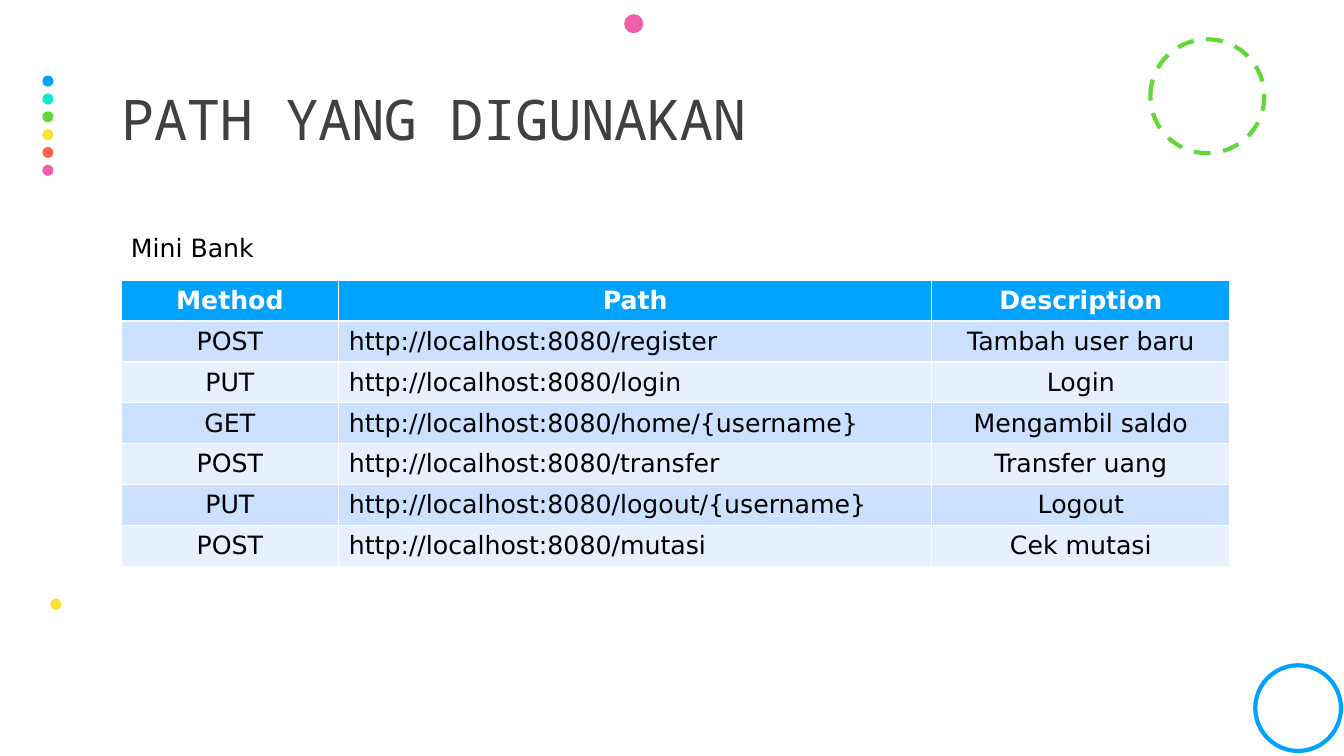
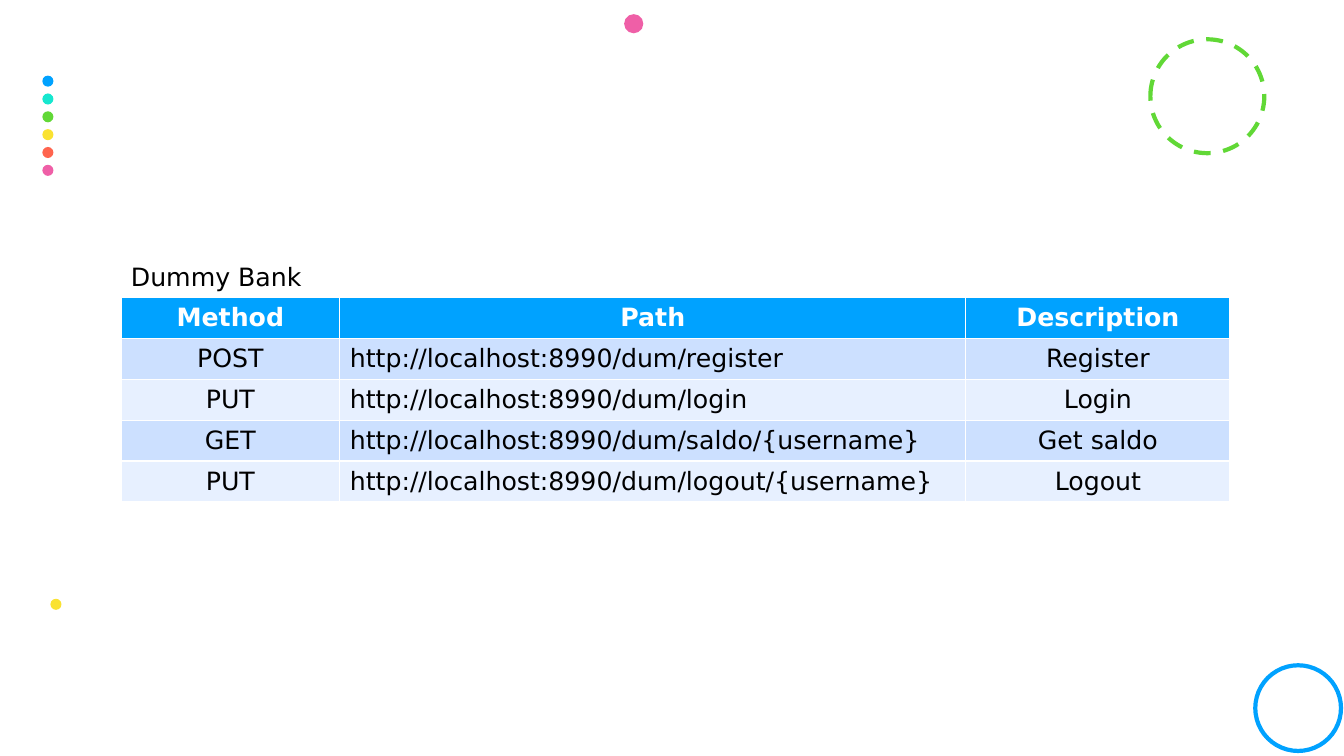
"""Build two slides that list the API paths of a mini bank and a dummy bank."""
from dataclasses import dataclass

from pptx import Presentation
from pptx.dml.color import RGBColor
from pptx.enum.dml import MSO_LINE
from pptx.enum.shapes import MSO_SHAPE
from pptx.enum.text import MSO_ANCHOR, MSO_AUTO_SIZE, PP_ALIGN
from pptx.util import Inches, Pt


@dataclass(frozen=True)
class Theme:
    blue: str = "00A2FF"
    teal: str = "16E7CF"
    green: str = "61D836"
    yellow: str = "FAE232"
    coral: str = "FF644E"
    pink: str = "EF5FA7"
    white: str = "FFFFFF"
    black: str = "000000"
    gray: str = "404040"
    bands: tuple = ("CCE0FF", "E7F0FF")
    head: str = "Noto Sans Mono"
    body: str = "DejaVu Sans"
    big: int = 40
    text: int = 18
    left: float = 1.2
    width: float = 11


THEME = Theme()
HEADS = ("Method", "Path", "Description")
MINI = (
    ("POST", "register", "Tambah user baru"),
    ("PUT", "login", "Login"),
    ("GET", "home/{username}", "Mengambil saldo"),
    ("POST", "transfer", "Transfer uang"),
    ("PUT", "logout/{username}", "Logout"),
    ("POST", "mutasi", "Cek mutasi"),
)
DUMMY = (
    ("POST", "register", "Register"),
    ("PUT", "login", "Login"),
    ("GET", "saldo/{username}", "Get saldo"),
    ("PUT", "logout/{username}", "Logout"),
)


def style(para, face, size, color, bold=False):
    font = para.font
    font.name, font.size, font.bold = face, Pt(size), bold
    font.color.rgb = RGBColor.from_string(color)


def circle(slide, left, top, size):
    shape = slide.shapes.add_shape(
        MSO_SHAPE.OVAL, Inches(left), Inches(top), Inches(size), Inches(size))
    shape.shadow.inherit = False
    return shape


def dot(slide, left, top, size, color):
    shape = circle(slide, left, top, size)
    shape.fill.solid()
    shape.fill.fore_color.rgb = RGBColor.from_string(color)
    shape.line.fill.background()
    return shape


def ring(slide, left, top, size, color, dash=None):
    shape = circle(slide, left, top, size)
    shape.fill.background()
    shape.line.color.rgb = RGBColor.from_string(color)
    shape.line.width = Pt(3)
    shape.line.dash_style = dash
    return shape


def adorn(master, slide):
    """Draw the shared circles and move them to the master."""
    t = THEME
    colors = (t.blue, t.teal, t.green, t.yellow, t.coral, t.pink)
    marks = [dot(slide, 0.42, 0.75 + 0.177 * i, 0.11, color)
             for i, color in enumerate(colors)]
    marks += [
        ring(slide, 11.41, 0.39, 1.13, t.green, MSO_LINE.DASH),
        dot(slide, 6.19, 0.14, 0.19, t.pink),
        dot(slide, 0.5, 5.94, 0.11, t.yellow),
        ring(slide, 12.45, 6.6, 0.85, t.blue),
    ]
    for number, mark in enumerate(marks, 100):
        mark.element.nvSpPr.cNvPr.set("id", str(number))
        master.shapes.element.append(mark.element)


def head(slide, text):
    title = slide.shapes.title
    title.left, title.top = Inches(THEME.left), Inches(0.46)
    title.width, title.height = Inches(THEME.width), Inches(1.5)
    frame = title.text_frame
    frame.text = text
    frame.auto_size = MSO_AUTO_SIZE.NONE
    frame.vertical_anchor = MSO_ANCHOR.MIDDLE
    frame.margin_left = frame.margin_right = 0
    para = frame.paragraphs[0]
    para.alignment, para.line_spacing = PP_ALIGN.LEFT, 0.9
    style(para, THEME.head, THEME.big, THEME.gray)
    title.element.xpath(".//a:defRPr")[0].set("spc", "-50")


def label(slide, top, text):
    box = slide.shapes.add_textbox(
        Inches(THEME.left), Inches(top), Inches(2.84), Inches(0.4))
    frame = box.text_frame
    frame.word_wrap = True
    frame.auto_size = MSO_AUTO_SIZE.SHAPE_TO_FIT_TEXT
    frame.text = text
    style(frame.paragraphs[0], THEME.body, THEME.text, THEME.black)


def grid(slide, top, height, widths, base, paths):
    rows = [HEADS] + [(verb, base + end, note) for verb, end, note in paths]
    table = slide.shapes.add_table(
        len(rows), len(HEADS), Inches(THEME.left), Inches(top),
        Inches(THEME.width), Inches(height)).table
    for column, width in zip(table.columns, widths):
        column.width = Inches(width)
    for r, row in enumerate(rows):
        fill = THEME.bands[(r - 1) % 2] if r else THEME.blue
        color = THEME.black if r else THEME.white
        for c, text in enumerate(row):
            cell = table.cell(r, c)
            cell.text = text
            cell.vertical_anchor = MSO_ANCHOR.MIDDLE
            cell.fill.solid()
            cell.fill.fore_color.rgb = RGBColor.from_string(fill)
            para = cell.text_frame.paragraphs[0]
            para.alignment = PP_ALIGN.LEFT if r and c == 1 else PP_ALIGN.CENTER
            style(para, THEME.body, THEME.text, color, bold=r == 0)


def main():
    deck = Presentation()
    deck.slide_width, deck.slide_height = Inches(13.33), Inches(7.5)

    mini = deck.slides.add_slide(deck.slide_layouts.get_by_name("Title Only"))
    adorn(deck.slide_master, mini)
    head(mini, "PATH YANG DIGUNAKAN")
    label(mini, 2.26, "Mini Bank")
    grid(mini, 2.78, 2.84, (2.16, 5.88, 2.96), "http://localhost:8080/", MINI)

    dummy = deck.slides.add_slide(deck.slide_layouts.get_by_name("Blank"))
    label(dummy, 2.54, "Dummy Bank")
    grid(dummy, 2.95, 2.03, (2.17, 6.21, 2.62),
         "http://localhost:8990/dum/", DUMMY)

    deck.save("out.pptx")


if __name__ == "__main__":
    main()
